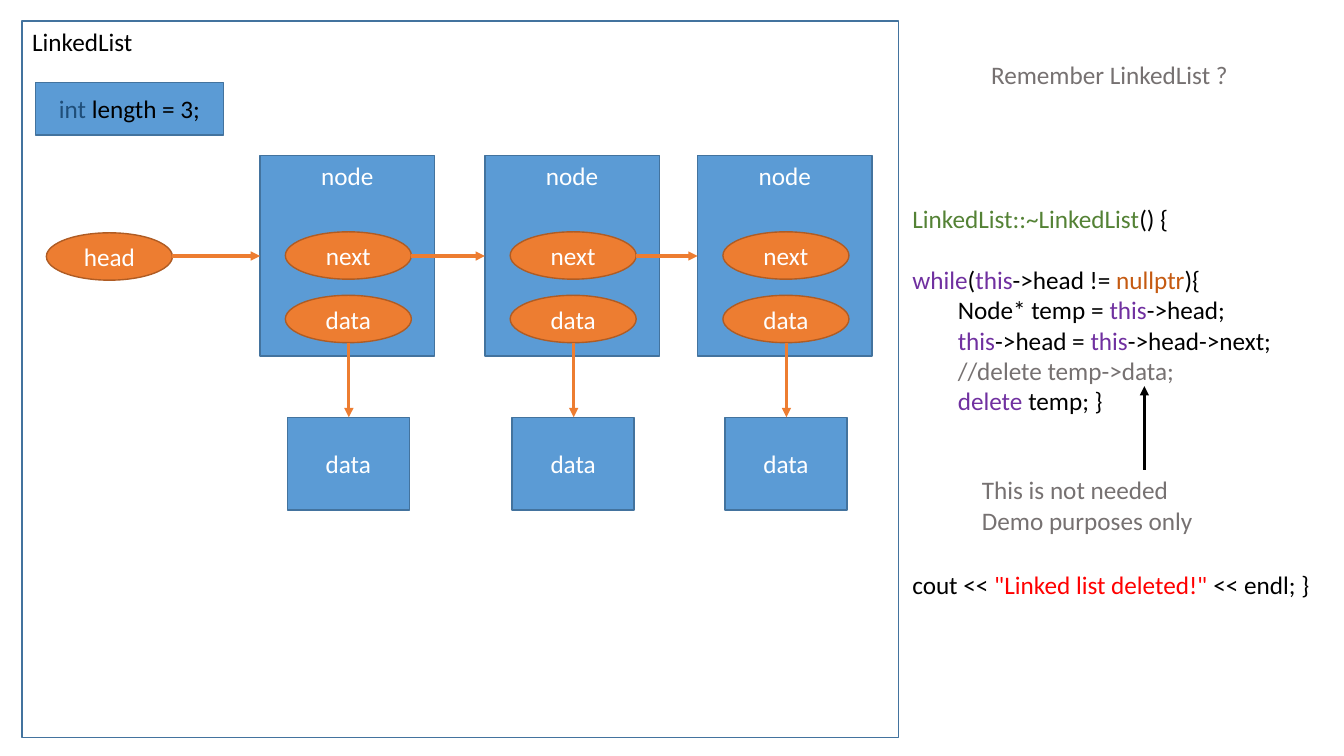
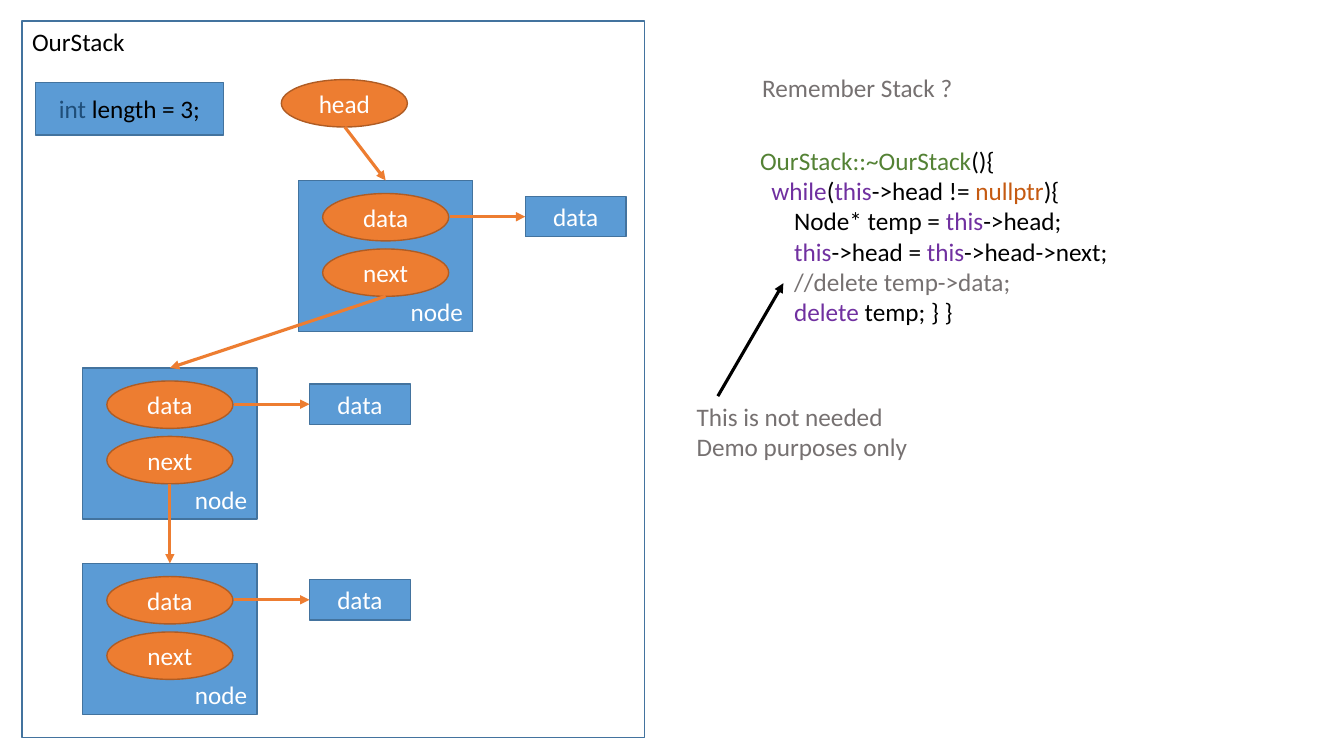
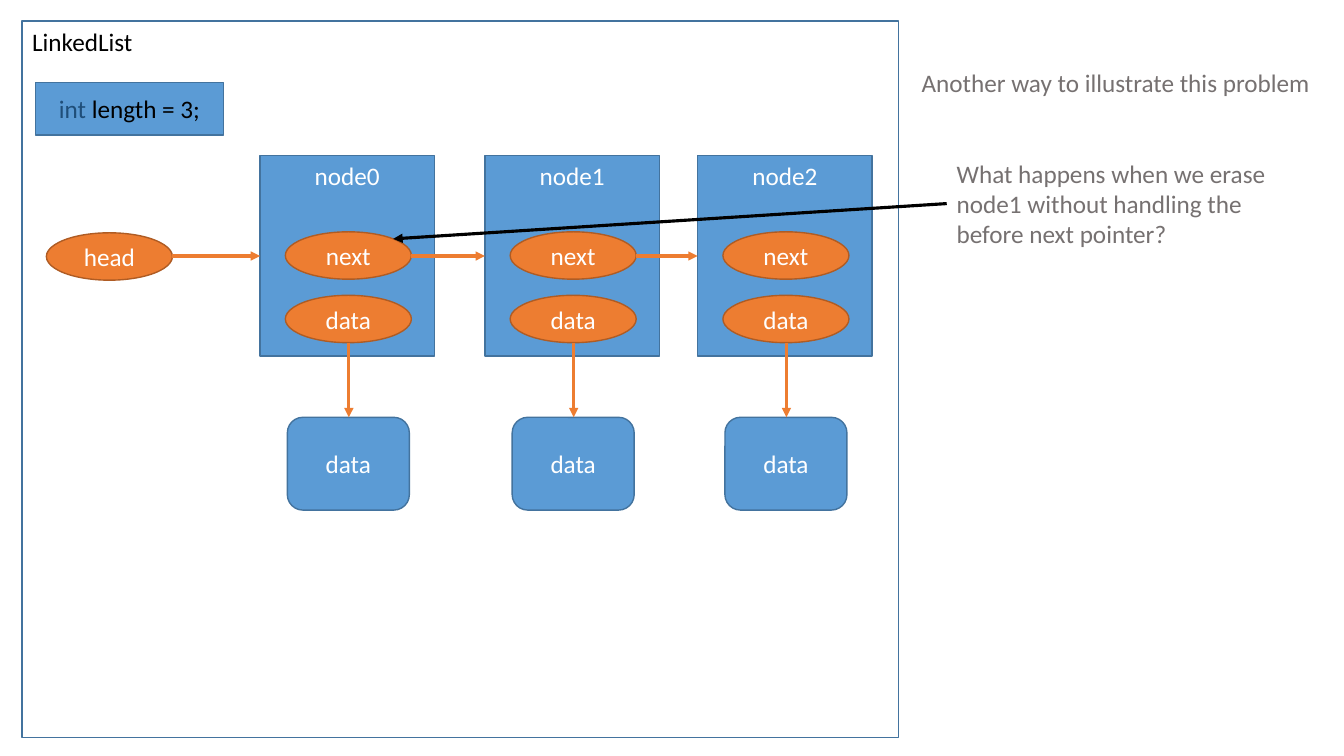
from lxml.etree import SubElement
from pptx import Presentation
from pptx.dml.color import RGBColor
from pptx.enum.shapes import MSO_CONNECTOR, MSO_SHAPE
from pptx.enum.text import MSO_ANCHOR, MSO_AUTO_SIZE, PP_ALIGN
from pptx.oxml.ns import qn
from pptx.util import Inches, Pt

COLORS = {
    "node": "5B9BD5",
    "node_line": "43739E",
    "pointer": "ED7D31",
    "pointer_line": "AF5C24",
    "white": "FFFFFF",
    "black": "000000",
    "type": "1F4E79",
    "class": "548235",
    "keyword": "7030A0",
    "null": "C55A11",
    "comment": "767171",
    "string": "FF0000",
}
FONT = {"name": "Calibri", "size": Pt(18), "bold": False}
CODE_LINE = Pt(22)
POINTER_SIZE = (1.25, 0.47)
NODE_WIDTH = 1.73
FRAME_TOP, FRAME_LEFT, FRAME_HEIGHT = 0.21, 0.22, 7.11

LOOP_CODE = [
    [("while", "keyword"), ("(", "black"), ("this", "keyword"), ("->head != ", "black"),
     ("nullptr", "null"), ("){", "black")],
    [("Node* temp = ", "black"), ("this", "keyword"), ("->head;", "black")],
    [("this", "keyword"), ("->head = ", "black"), ("this", "keyword"), ("->head->next;", "black")],
    [("//delete temp->data;", "comment")],
]
DEMO_NOTE = ["This is not needed", "Demo purposes only"]


def color(name):
    return RGBColor.from_string(COLORS[name])


def set_attributes(target, values):
    for name, value in values.items():
        setattr(target, name, value)


def place(box):
    return [Inches(length) for length in box]


def write(shape, lines, align=PP_ALIGN.LEFT, anchor=MSO_ANCHOR.TOP, wrap=True, gaps=None):
    frame = shape.text_frame
    set_attributes(frame, {"word_wrap": wrap, "vertical_anchor": anchor,
                           "auto_size": MSO_AUTO_SIZE.NONE})
    for index, line in enumerate(lines):
        paragraph = frame.add_paragraph() if index else frame.paragraphs[0]
        paragraph.alignment = align
        if gaps and index in gaps:
            paragraph.space_before = gaps[index] * CODE_LINE
        for text, color_name in line:
            run = paragraph.add_run()
            run.text = text
            set_attributes(run.font, FONT)
            run.font.color.rgb = color(color_name)


def add_box(slide, kind, box, runs, fill="node", line="node_line",
            align=PP_ALIGN.CENTER, anchor=MSO_ANCHOR.MIDDLE):
    shape = slide.shapes.add_shape(kind, *place(box))
    shape.shadow.inherit = False
    if fill:
        shape.fill.solid()
        shape.fill.fore_color.rgb = color(fill)
    else:
        shape.fill.background()
    shape.line.color.rgb = color(line)
    shape.line.width = Pt(1)
    write(shape, [runs], align, anchor)


def add_pointer(slide, left, top, label):
    add_box(slide, MSO_SHAPE.OVAL, (left, top, *POINTER_SIZE), [(label, "white")],
            "pointer", "pointer_line")


def add_arrow(slide, start, end, color_name="pointer"):
    connector = slide.shapes.add_connector(MSO_CONNECTOR.STRAIGHT, *place(start + end))
    connector.line.color.rgb = color(color_name)
    connector.line.width = Pt(2.25)
    SubElement(connector.line._get_or_add_ln(), qn("a:tailEnd"), type="triangle")
    SubElement(connector._element.spPr, qn("a:effectLst"))


def add_text(slide, box, lines, wrap=True, gaps=None):
    write(slide.shapes.add_textbox(*place(box)), lines, wrap=wrap, gaps=gaps)


def add_note(slide, box, lines):
    add_text(slide, box, [[(line, "comment")] for line in lines])


def add_titled_slide(presentation, title, box):
    slide = presentation.slides.add_slide(presentation.layouts_by_name["Title Only"]
                                          if hasattr(presentation, "layouts_by_name")
                                          else presentation.slide_layouts.get_by_name("Title Only"))
    shape = slide.shapes.title
    set_attributes(shape, dict(zip(("left", "top", "width", "height"), place(box))))
    write(shape, [[(title, "comment")]], wrap=False)
    return slide


def add_frame(slide, width, name):
    add_box(slide, MSO_SHAPE.RECTANGLE, (FRAME_LEFT, FRAME_TOP, width, FRAME_HEIGHT),
            [(name, "black")], None, align=PP_ALIGN.LEFT, anchor=MSO_ANCHOR.TOP)
    add_box(slide, MSO_SHAPE.RECTANGLE, (FRAME_LEFT + 0.13, FRAME_TOP + 0.61, 1.87, 0.52),
            [("int", "type"), (" length = 3;", "black")])


def add_list_node(slide, left, top, label, data_shape):
    add_box(slide, MSO_SHAPE.RECTANGLE, (left, top, NODE_WIDTH, 1.99), [(label, "white")],
            anchor=MSO_ANCHOR.TOP)
    add_pointer(slide, left + 0.25, top + 0.76, "next")
    add_pointer(slide, left + 0.25, top + 1.39, "data")
    add_box(slide, data_shape, (left + 0.27, top + 2.6, 1.21, 0.92), [("data", "white")])
    center = left + 0.88
    add_arrow(slide, (center, top + 1.86), (center, top + 2.6))


def add_linked_list(slide, labels, data_shape):
    add_frame(slide, 8.69, "LinkedList")
    top, lefts = 1.54, (2.58, 4.81, 6.92)
    for left, label in zip(lefts, labels):
        add_list_node(slide, left, top, label, data_shape)
    head_left = 0.46
    add_pointer(slide, head_left, top + 0.77, "head")
    starts = [head_left + POINTER_SIZE[0]] + [left + 0.25 + POINTER_SIZE[0] for left in lefts[:-1]]
    for start, end in zip(starts, lefts):
        add_arrow(slide, (start, top + 1), (end, top + 1))


def add_stack_node(slide, left, top):
    add_box(slide, MSO_SHAPE.RECTANGLE, (left, top, NODE_WIDTH, 1.5), [("node", "white")],
            align=PP_ALIGN.RIGHT, anchor=MSO_ANCHOR.BOTTOM)
    add_pointer(slide, left + 0.24, top + 0.13, "data")
    add_pointer(slide, left + 0.24, top + 0.68, "next")
    add_box(slide, MSO_SHAPE.RECTANGLE, (left + 2.25, top + 0.16, 1, 0.4), [("data", "white")])
    add_arrow(slide, (left + 1.5, top + 0.36), (left + 2.25, top + 0.36))


def add_stack(slide):
    add_frame(slide, 6.17, "OurStack")
    add_pointer(slide, 2.79, 0.79, "head")
    start = (3.42, 1.26)
    nodes = ((2.96, 1.79), (0.82, 3.65), (0.82, 5.59))
    for left, top in nodes:
        add_stack_node(slide, left, top)
    for left, top in nodes:
        center = left + NODE_WIDTH / 2
        add_arrow(slide, start, (center, top))
        start = (center, top + 1.15)


def destructor(name, opening, loop_indent, body_indent, ending):
    indents = [loop_indent] + [body_indent] * 3
    loop = [[(" " * indent + line[0][0], line[0][1])] + line[1:]
            for indent, line in zip(indents, LOOP_CODE)]
    return [[(f"{name}::~{name}", "class"), (opening, "black")], *loop,
            [(" " * body_indent + "delete", "keyword"), (ending, "black")]]


def build_list_slide(presentation):
    slide = add_titled_slide(presentation, "Remember LinkedList ?", (9.73, 0.54, 2.58, 0.4))
    add_linked_list(slide, ["node"] * 3, MSO_SHAPE.RECTANGLE)
    code = destructor("LinkedList", "() {", 0, 8, " temp; }")
    code.append([("cout << ", "black"), ('"Linked list deleted!" ', "string"),
                 ("<< endl; }", "black")])
    add_text(slide, (8.95, 1.97, 4.19, 4.04), code, wrap=False, gaps={1: 1, 6: 5})
    add_arrow(slide, (11.35, 4.66), (11.35, 3.83), "black")
    add_note(slide, (9.64, 4.66, 3.41, 0.71), DEMO_NOTE)


def build_stack_slide(presentation):
    slide = add_titled_slide(presentation, "Remember Stack ?", (7.46, 0.67, 2.11, 0.4))
    add_stack(slide)
    add_text(slide, (7.44, 1.39, 3.69, 1.92),
             destructor("OurStack", "(){", 2, 6, " temp; } }"), wrap=False)
    add_note(slide, (6.81, 3.93, 2.49, 0.71), DEMO_NOTE)
    add_arrow(slide, (7.12, 3.93), (7.77, 2.81), "black")


def build_problem_slide(presentation):
    slide = add_titled_slide(presentation, "Another way to illustrate this problem",
                             (9.04, 0.62, 4.09, 0.4))
    add_linked_list(slide, [f"node{index}" for index in range(3)], MSO_SHAPE.ROUNDED_RECTANGLE)
    add_arrow(slide, (9.39, 2.02), (3.9, 2.37), "black")
    add_note(slide, (9.39, 1.52, 3.41, 1.01),
             ["What happens when we erase node1 without handling the before next pointer?"])


def main():
    presentation = Presentation()
    presentation.slide_width = Inches(13.33)
    presentation.slide_height = Inches(7.5)
    build_list_slide(presentation)
    build_stack_slide(presentation)
    build_problem_slide(presentation)
    presentation.save("out.pptx")


if __name__ == "__main__":
    main()
